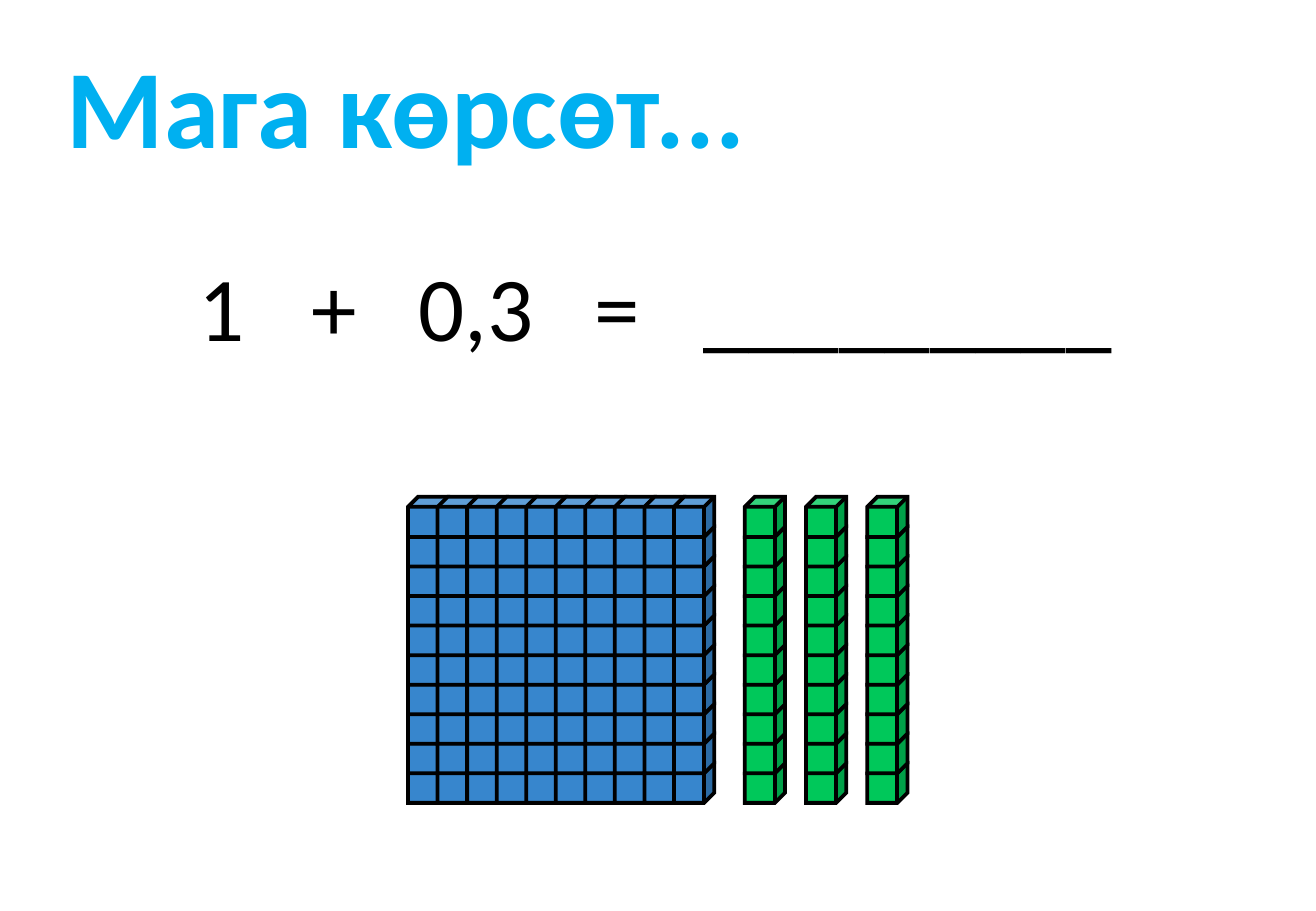
from pptx import Presentation
from pptx.dml.color import RGBColor
from pptx.enum.shapes import MSO_SHAPE
from pptx.enum.text import MSO_ANCHOR, MSO_AUTO_SIZE, PP_ALIGN
from pptx.oxml.xmlchemy import OxmlElement
from pptx.util import Cm, Pt

FONT = "Calibri"
BLACK, SKY, BLUE, GREEN = "000000", "00B0F0", "3786CD", "00C85A"
CUBE = 0.84
STEP = 5.56 / 9
BLOCK_TOP = 10.39
PER_COLUMN = 10


def rgb(value):
    return RGBColor.from_string(value)


def add_run(paragraph, text, size, color, bold=False):
    run = paragraph.add_run()
    run.text = text
    run.font.name = FONT
    run.font.size = Pt(size)
    run.font.bold = bold
    run.font.color.rgb = rgb(color)


def add_tab_stops(paragraph, stops):
    tab_list = OxmlElement("a:tabLst")
    for position, alignment in stops:
        tab = OxmlElement("a:tab")
        tab.set("pos", str(Cm(position)))
        tab.set("algn", alignment)
        tab_list.append(tab)
    paragraph._p.get_or_add_pPr().append(tab_list)


def set_title(slide, text):
    title = slide.shapes.title
    title.left, title.top = Cm(1.14), Cm(0.66)
    title.width, title.height = Cm(18.62), Cm(3.07)
    frame = title.text_frame
    frame.word_wrap = True
    frame.auto_size = MSO_AUTO_SIZE.NONE
    frame.vertical_anchor = MSO_ANCHOR.TOP
    paragraph = frame.paragraphs[0]
    paragraph.alignment = PP_ALIGN.LEFT
    add_run(paragraph, text, 66, SKY, bold=True)


def add_equation(slide, terms):
    box = slide.shapes.add_textbox(Cm(3.91), Cm(5.11), Cm(19.7), Cm(2.57))
    box.text_frame.word_wrap = True
    paragraph = box.text_frame.paragraphs[0]
    paragraph.alignment = PP_ALIGN.LEFT
    add_tab_stops(paragraph, [(2.82, "ctr"), (5.79, "ctr"), (8.74, "ctr"), (10.54, "l")])
    add_run(paragraph, "\t".join(terms), 54, BLACK)


def add_cube(group, left, top, color):
    cube = group.shapes.add_shape(MSO_SHAPE.CUBE, Cm(left), Cm(top), Cm(CUBE), Cm(CUBE))
    cube.shadow.inherit = False
    cube.fill.solid()
    cube.fill.fore_color.rgb = rgb(color)
    cube.line.color.rgb = rgb(BLACK)
    cube.line.width = Pt(2.25)
    cube.line._get_or_add_ln().append(OxmlElement("a:miter"))


def add_block(slide, left, columns, color):
    group = slide.shapes.add_group_shape()
    for column in range(columns):
        for row in reversed(range(PER_COLUMN)):
            add_cube(group, left + column * STEP, BLOCK_TOP + row * STEP, color)


def main():
    presentation = Presentation()
    presentation.slide_width = Cm(27.51)
    presentation.slide_height = Cm(19.05)
    slide = presentation.slides.add_slide(presentation.slide_layouts[5])
    set_title(slide, "Мага көрсөт...")
    add_equation(slide, ["1", "+", "0,3", "=", "_________"])
    for tenth in range(3):
        add_block(slide, 15.57 + tenth * 1.28, 1, GREEN)
    add_block(slide, 8.53, PER_COLUMN, BLUE)
    presentation.save("out.pptx")


if __name__ == "__main__":
    main()
